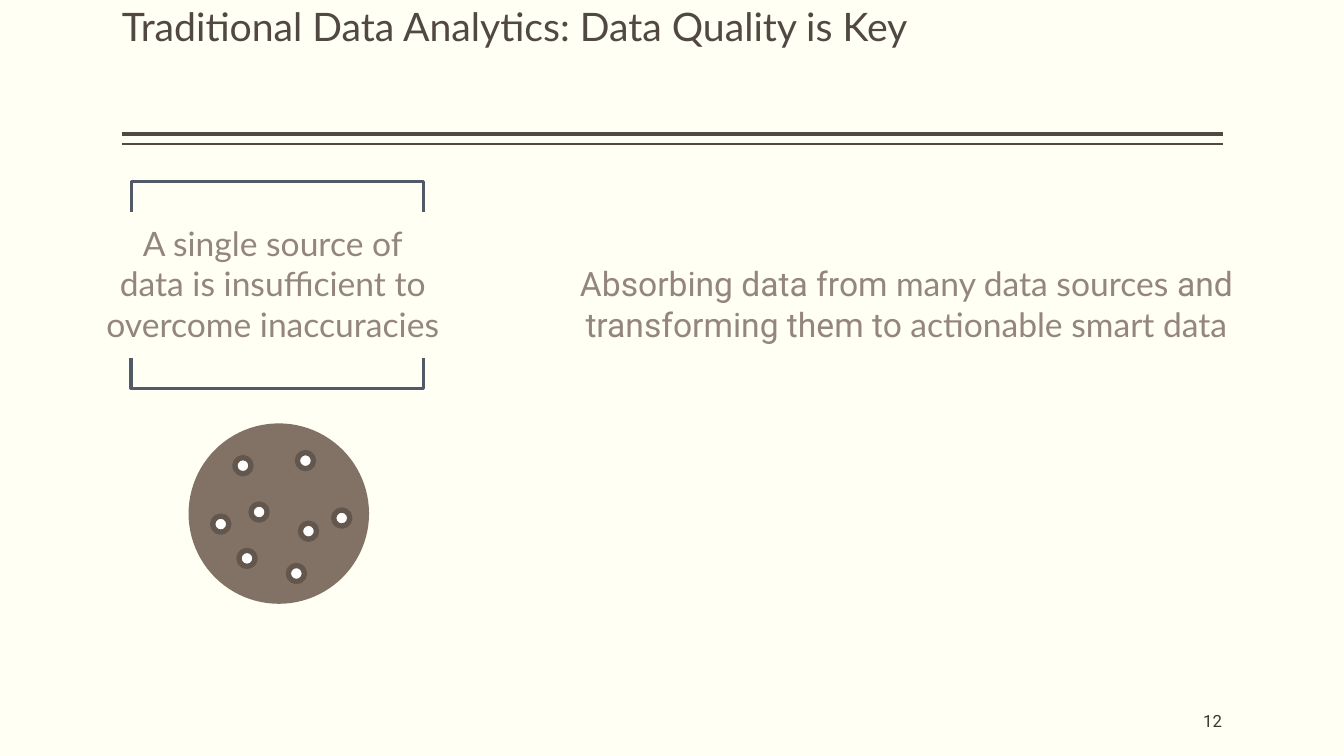
from dataclasses import dataclass

from lxml import etree
from pptx import Presentation
from pptx import util as u
from pptx.dml.color import RGBColor
from pptx.enum import shapes, text
from pptx.oxml import ns


@dataclass(frozen=True)
class Theme:
    background: str = "FFFFF3"
    title: str = "514843"
    body: str = "94867E"
    number: str = "3D3632"
    bracket: str = "525A6A"
    disc: str = "827266"
    dot: str = "FFFFFF"
    dot_line: str = "62564D"
    main_font: str = "Lato"
    second_font: str = "Roboto"
    title_size: float = 28
    body_size: float = 24
    number_size: float = 12


@dataclass(frozen=True)
class Area:
    left: float
    top: float
    width: float
    height: float

    def lengths(self) -> list[u.Length]:
        return [u.Inches(n) for n in (self.left, self.top, self.width, self.height)]


@dataclass(frozen=True)
class Phrase:
    words: str
    font: str


@dataclass(frozen=True)
class Label:
    """A text box; margins run left, top, right, bottom in inches."""
    area: Area
    phrases: tuple[Phrase, ...]
    size: float
    color: str
    align: text.PP_ALIGN
    margins: tuple[float, float, float, float]
    anchor: text.MSO_ANCHOR = text.MSO_ANCHOR.TOP
    spacing: float = 1.0


@dataclass(frozen=True)
class Rule:
    y: float
    weight: float


@dataclass(frozen=True)
class Bracket:
    top: float
    rotation: float


@dataclass(frozen=True)
class Dot:
    left: float
    top: float


THEME = Theme()
RULE_LEFT, RULE_RIGHT = 1.21, 12.13
RULES = (Rule(1.33, 3), Rule(1.43, 1))
BRACKETS = (Bracket(0.5, 90), Bracket(2.25, 270))
DISC = Area(1.87, 4.2, 1.79, 1.79)
DOT_SIZE = 0.16
DOTS = (
    Dot(2.95, 4.49), Dot(2.33, 4.54), Dot(2.11, 5.12), Dot(2.86, 5.61),
    Dot(3.31, 5.06), Dot(2.98, 5.19), Dot(2.37, 5.46), Dot(2.49, 5.0),
)
LABELS = (
    Label(Area(1.21, 0.08, 10.92, 1.2),
          (Phrase("Traditional Data Analytics: Data Quality is Key", THEME.main_font),),
          THEME.title_size, THEME.title, text.PP_ALIGN.LEFT, (0, 0, 0, 0), spacing=0.9),
    Label(Area(10.12, 6.95, 2, 0.4), (Phrase("12", THEME.second_font),),
          THEME.number_size, THEME.number, text.PP_ALIGN.RIGHT, (0, 0.05, 0, 0.05),
          anchor=text.MSO_ANCHOR.MIDDLE),
    Label(Area(5.19, 2.21, 7.6, 1.21),
          (Phrase("Absorbing data from ", THEME.second_font),
           Phrase("many data sources ", THEME.main_font),
           Phrase("and transforming them to ", THEME.second_font),
           Phrase("actionable smart data", THEME.main_font)),
          THEME.body_size, THEME.body, text.PP_ALIGN.CENTER, (0.1, 0.4, 0.1, 0)),
    Label(Area(0.98, 2.21, 3.45, 1.21),
          (Phrase("A single source of\vdata is insufficient to\vovercome inaccuracies",
                  THEME.main_font),),
          THEME.body_size, THEME.body, text.PP_ALIGN.CENTER, (0, 0, 0, 0)),
)


def rgb(color: str) -> RGBColor:
    return RGBColor.from_string(color)


def draw_label(page, label: Label) -> None:
    box = page.shapes.add_textbox(*label.area.lengths())
    frame = box.text_frame
    frame.word_wrap = True
    frame.vertical_anchor = label.anchor
    (frame.margin_left, frame.margin_top,
     frame.margin_right, frame.margin_bottom) = map(u.Inches, label.margins)
    para = frame.paragraphs[0]
    para.alignment = label.align
    para.line_spacing = label.spacing
    if len(label.phrases) == 1:
        para.text = label.phrases[0].words
    else:
        for phrase in label.phrases:
            para.add_run().text = phrase.words
    for index, span in enumerate(para.runs):
        phrase = label.phrases[min(index, len(label.phrases) - 1)]
        span.font.name = phrase.font
        span.font.size = u.Pt(label.size)
        span.font.color.rgb = rgb(label.color)


def draw_rule(page, rule: Rule) -> None:
    line = page.shapes.add_connector(
        shapes.MSO_CONNECTOR.STRAIGHT, u.Inches(RULE_LEFT), u.Inches(rule.y),
        u.Inches(RULE_RIGHT), u.Inches(rule.y))
    line.line.color.rgb = rgb(THEME.title)
    line.line.width = u.Pt(rule.weight)
    etree.SubElement(line._element.spPr, ns.qn("a:effectLst"))


def draw_shape(page, kind: shapes.MSO_SHAPE, area: Area, fill: str | None = None,
               line: str | None = None, weight: float = 0):
    """Add a preset shape; a missing fill or line colour leaves that part empty."""
    shape = page.shapes.add_shape(kind, *area.lengths())
    shape.shadow.inherit = False
    if fill:
        shape.fill.solid()
        shape.fill.fore_color.rgb = rgb(fill)
    else:
        shape.fill.background()
    if line:
        shape.line.color.rgb = rgb(line)
        shape.line.width = u.Pt(weight)
    else:
        shape.line.fill.background()
    return shape


def draw_bracket(page, bracket: Bracket) -> None:
    shape = draw_shape(page, shapes.MSO_SHAPE.LEFT_BRACKET,
                       Area(2.6, bracket.top, 0.3, 2.9), line=THEME.bracket, weight=2.25)
    shape.adjustments[0] = 0
    shape.rotation = bracket.rotation


def draw_dot(page, dot: Dot) -> None:
    draw_shape(page, shapes.MSO_SHAPE.OVAL, Area(dot.left, dot.top, DOT_SIZE, DOT_SIZE),
               THEME.dot, THEME.dot_line, 3.78)


def main() -> None:
    deck = Presentation()
    deck.slide_width, deck.slide_height = u.Inches(13.33), u.Inches(7.5)
    page = deck.slides.add_slide(deck.slide_layouts[6])
    page.background.fill.solid()
    page.background.fill.fore_color.rgb = rgb(THEME.background)
    for rule in RULES:
        draw_rule(page, rule)
    draw_shape(page, shapes.MSO_SHAPE.OVAL, DISC, THEME.disc)
    for label in LABELS:
        draw_label(page, label)
    for bracket in BRACKETS:
        draw_bracket(page, bracket)
    for dot in DOTS:
        draw_dot(page, dot)
    deck.save("out.pptx")


if __name__ == "__main__":
    main()
